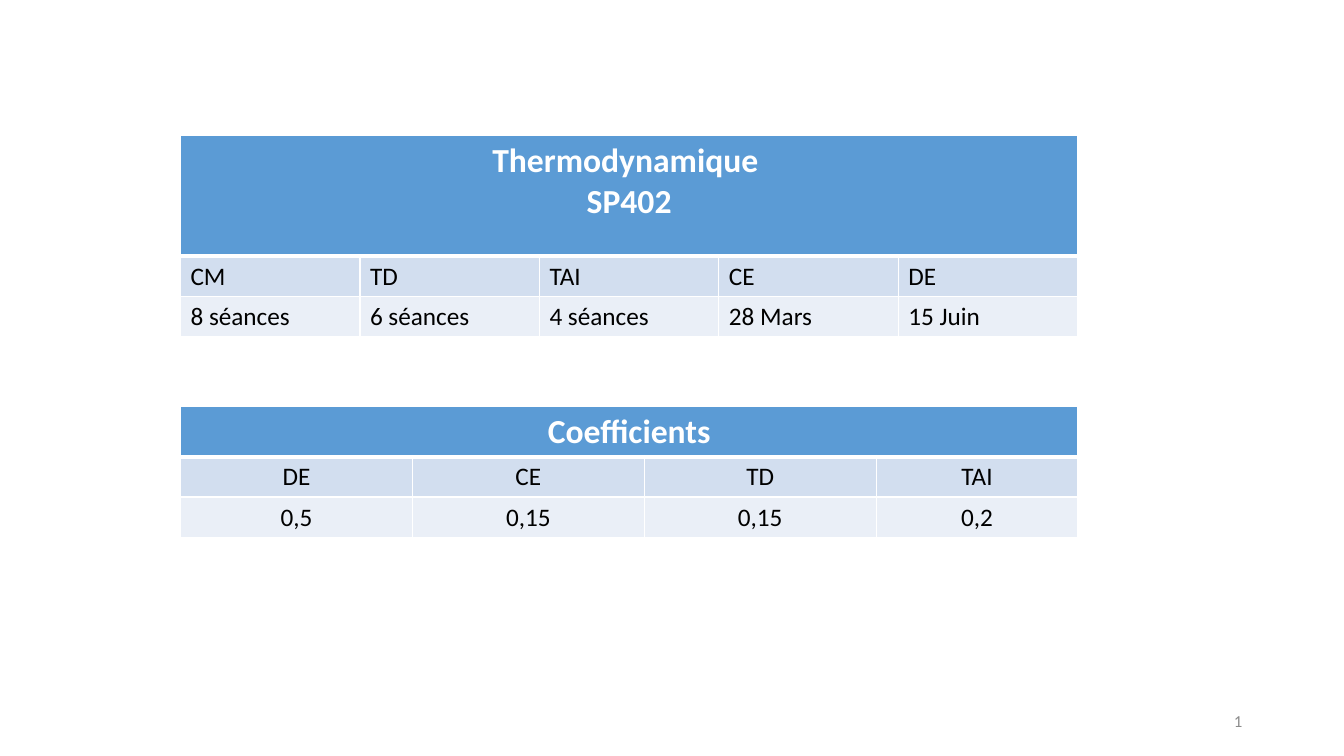
from dataclasses import dataclass

from lxml import etree
from pptx import Presentation
from pptx import util as u
from pptx.dml.color import RGBColor
from pptx.enum import text
from pptx.oxml import ns


@dataclass(frozen=True)
class Theme:
    font: str = "Calibri"
    header: str = "5B9BD5"
    bands: tuple = ("D2DEEF", "EAEFF7")
    white: str = "FFFFFF"
    black: str = "000000"
    grey: str = "8C8C8C"
    title_size: int = 24
    body_size: int = 18
    number_size: int = 12
    thin: int = 1
    thick: int = 3


THEME = Theme()
ROW_HEIGHT = 0.4
CENTER, LEFT, RIGHT = text.PP_ALIGN.CENTER, text.PP_ALIGN.LEFT, text.PP_ALIGN.RIGHT


def write(tf, content, size, color, align, bold=False):
    tf.text = content
    for p in tf.paragraphs:
        p.alignment = align
        p.font.name, p.font.size, p.font.bold = THEME.font, u.Pt(size), bold
        p.font.color.rgb = RGBColor.from_string(color)


def add_borders(cell, top, bottom):
    """Draw white lines on the four sides, with the given top and bottom widths."""
    widths = {"lnL": THEME.thin, "lnR": THEME.thin, "lnT": top, "lnB": bottom}
    tc_pr = cell._tc.get_or_add_tcPr()
    for side, width in widths.items():
        ln = etree.SubElement(tc_pr, ns.qn(f"a:{side}"), w=str(u.Pt(width)))
        fill = etree.SubElement(ln, ns.qn("a:solidFill"))
        etree.SubElement(fill, ns.qn("a:srgbClr"), val=THEME.white)


def style_cell(cell, fill, top, bottom):
    add_borders(cell, top, bottom)
    cell.fill.solid()
    cell.fill.fore_color.rgb = RGBColor.from_string(fill)


def add_course_table(slide, left, top, col_widths, header_height, title, rows, align):
    heights = [header_height] + [ROW_HEIGHT] * len(rows)
    frame = slide.shapes.add_table(
        len(heights), len(col_widths), u.Inches(left), u.Inches(top),
        u.Inches(sum(col_widths)), u.Inches(sum(heights)))
    table = frame.table
    for column, width in zip(table.columns, col_widths):
        column.width = u.Inches(width)
    for row, height in zip(table.rows, heights):
        row.height = u.Inches(height)

    title_cell = table.cell(0, 0)
    title_cell.merge(table.cell(0, len(col_widths) - 1))
    write(title_cell.text_frame, title, THEME.title_size, THEME.white, CENTER, bold=True)
    for cell in table.rows[0].cells:
        style_cell(cell, THEME.header, THEME.thin, THEME.thick)

    for i, values in enumerate(rows):
        for cell, value in zip(table.rows[i + 1].cells, values):
            write(cell.text_frame, value, THEME.body_size, THEME.black, align)
            style_cell(cell, THEME.bands[i % 2],
                       THEME.thin if i else THEME.thick, THEME.thin)


def add_slide_number(slide, left, top, width, height):
    box = slide.shapes.add_textbox(*map(u.Inches, (left, top, width, height)))
    tf = box.text_frame
    tf.word_wrap = True
    tf.vertical_anchor = text.MSO_ANCHOR.MIDDLE
    write(tf, "1", THEME.number_size, THEME.grey, RIGHT)


def main():
    prs = Presentation()
    prs.slide_width, prs.slide_height = u.Inches(13.33), u.Inches(7.5)
    slide = prs.slides.add_slide(prs.slide_layouts[6])
    left = 1.79
    add_slide_number(slide, 9.42, 6.95, 3, 0.4)
    add_course_table(
        slide, left, 4.03, [2.3] * 3 + [2], 0.5, "Coefficients",
        [("DE", "CE", "TD", "TAI"), ("0,5", "0,15", "0,15", "0,2")], CENTER)
    add_course_table(
        slide, left, 1.34, [1.78] * 5, 1.2, "Thermodynamique \nSP402",
        [("CM", "TD", "TAI", "CE", "DE"),
         ("8 séances", "6 séances", "4 séances", "28 Mars", "15 Juin")], LEFT)
    prs.save("out.pptx")


if __name__ == "__main__":
    main()
